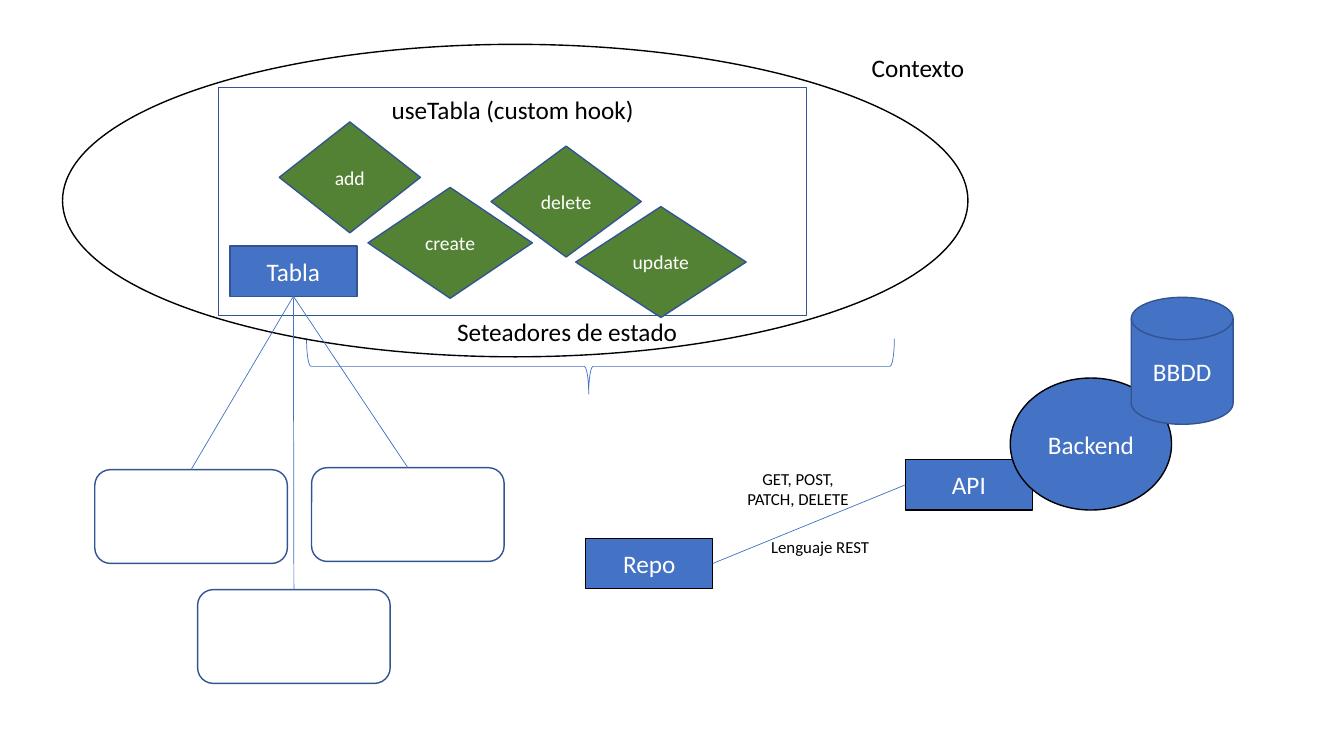
from dataclasses import dataclass
from typing import Optional

from lxml import etree
from pptx import Presentation
from pptx import util as u
from pptx.dml.color import RGBColor
from pptx.enum import shapes, text
from pptx.oxml import ns

INK = {"blue": "4472C4", "navy": "325491", "green": "548235",
       "black": "000000", "white": "FFFFFF"}
FONT = "Calibri"
KIND = shapes.MSO_SHAPE
MID, TOP = text.MSO_ANCHOR.MIDDLE, text.MSO_ANCHOR.TOP

deck = Presentation()
deck.slide_width, deck.slide_height = u.Inches(13.33), u.Inches(7.5)
COLS, ROWS = 133.3, 75
COL, ROW = deck.slide_width / COLS, deck.slide_height / ROWS
slide = deck.slides.add_slide(deck.slide_layouts[5])


@dataclass(frozen=True)
class Box:
    x: float
    y: float
    w: float
    h: float

    def frame(self) -> tuple:
        return (u.Emu(round(self.x * COL)), u.Emu(round(self.y * ROW)),
                u.Emu(round(self.w * COL)), u.Emu(round(self.h * ROW)))


@dataclass(frozen=True)
class Node:
    kind: KIND
    box: Box
    label: str = ""
    fill: Optional[str] = None
    line: str = "navy"
    size: int = 18
    ink: str = "white"
    anchor: text.MSO_ANCHOR = MID
    width: float = 1


@dataclass(frozen=True)
class Note:
    box: Box
    label: str
    size: int


def paint(name: str) -> RGBColor:
    return RGBColor.from_string(INK[name])


def write(frame, label: str, size: int, ink: str, anchor) -> None:
    frame.word_wrap = True
    frame.vertical_anchor = anchor
    para = frame.paragraphs[0]
    para.alignment = text.PP_ALIGN.CENTER
    run = para.add_run()
    run.text = label
    run.font.name, run.font.size = FONT, u.Pt(size)
    run.font.color.rgb = paint(ink)


def draw(node: Node):
    shape = slide.shapes.add_shape(node.kind, *node.box.frame())
    shape.shadow.inherit = False
    if node.fill:
        shape.fill.solid()
        shape.fill.fore_color.rgb = paint(node.fill)
    else:
        shape.fill.background()
    shape.line.color.rgb = paint(node.line)
    shape.line.width = u.Pt(node.width)
    if node.label:
        write(shape.text_frame, node.label, node.size, node.ink, node.anchor)
    return shape


def label(note: Note) -> None:
    area = slide.shapes.add_textbox(*note.box.frame())
    write(area.text_frame, note.label, note.size, "black", TOP)


def link(start, exit: int, end, entry: int) -> None:
    line = slide.shapes.add_connector(shapes.MSO_CONNECTOR.STRAIGHT, 0, 0, 0, 0)
    line.begin_connect(start, exit)
    line.end_connect(end, entry)
    line.line.color.rgb = paint("blue")
    line.line.width = u.Pt(0.5)
    etree.SubElement(line._element.spPr, ns.qn("a:effectLst"))


def block(x: float, y: float, name: str, line: str) -> Node:
    return Node(KIND.RECTANGLE, Box(x, y, 12.6, 5), name, "blue", line)


def action(x: float, y: float, w: float, name: str) -> Node:
    return Node(KIND.DIAMOND, Box(x, y, w, 11), name, "green", size=14)


def card(x: float, y: float) -> Node:
    return Node(KIND.ROUNDED_RECTANGLE, Box(x, y, 19.1, 9.3))


hook = draw(Node(KIND.RECTANGLE, Box(21.7, 8.7, 58.3, 22.6),
                 "useTabla (custom hook)", ink="black", anchor=TOP))
hook.text_frame.margin_top = u.Inches(0.07)
tabla = draw(block(22.8, 24.4, "Tabla", "navy"))

ACTIONS = [
    action(27.7, 12.1, 14, "add"),
    action(36.5, 18.6, 16.3, "create"),
    action(48.7, 14.5, 14.9, "delete"),
    action(57.1, 20.5, 16.9, "update"),
]
for item in ACTIONS:
    draw(item)

brace = draw(Node(KIND.RIGHT_BRACE, Box(56.8, 7.2, 5.5, 58.3),
                  line="blue", width=0.5))
brace.rotation = 90
brace.adjustments[0], brace.adjustments[1] = 0.08, 0.52

api = draw(block(89.8, 45.6, "API", "black"))
draw(Node(KIND.OVAL, Box(100.2, 37.5, 16, 13.1), "Backend", "blue", "black"))
draw(Node(KIND.FLOWCHART_MAGNETIC_DISK, Box(112.2, 29.5, 10.1, 12.6),
          "BBDD", "blue"))
repo = draw(block(58.1, 53.4, "Repo", "black"))
link(repo, 3, api, 1)

NOTES = [
    Note(Box(38.5, 30.9, 35.5, 4), "Seteadores de estado", 18),
    Note(Box(72.1, 46, 14.1, 5), "GET, POST, PATCH, DELETE", 12),
    Note(Box(74.3, 52.8, 14.1, 3), "Lenguaje REST", 12),
]
for item in NOTES:
    label(item)

draw(Node(KIND.OVAL, Box(6.2, 4.4, 89.8, 31), line="black"))
title = slide.shapes.title
title.left, title.top, title.width, title.height = Box(84, 4.7, 14.1, 4).frame()
write(title.text_frame, "Contexto", 18, "black", TOP)

CARDS = [card(9.4, 46.6), card(30.9, 46.4), card(19.6, 58.5)]
for item in CARDS:
    link(draw(item), 0, tabla, 2)

deck.save("out.pptx")
